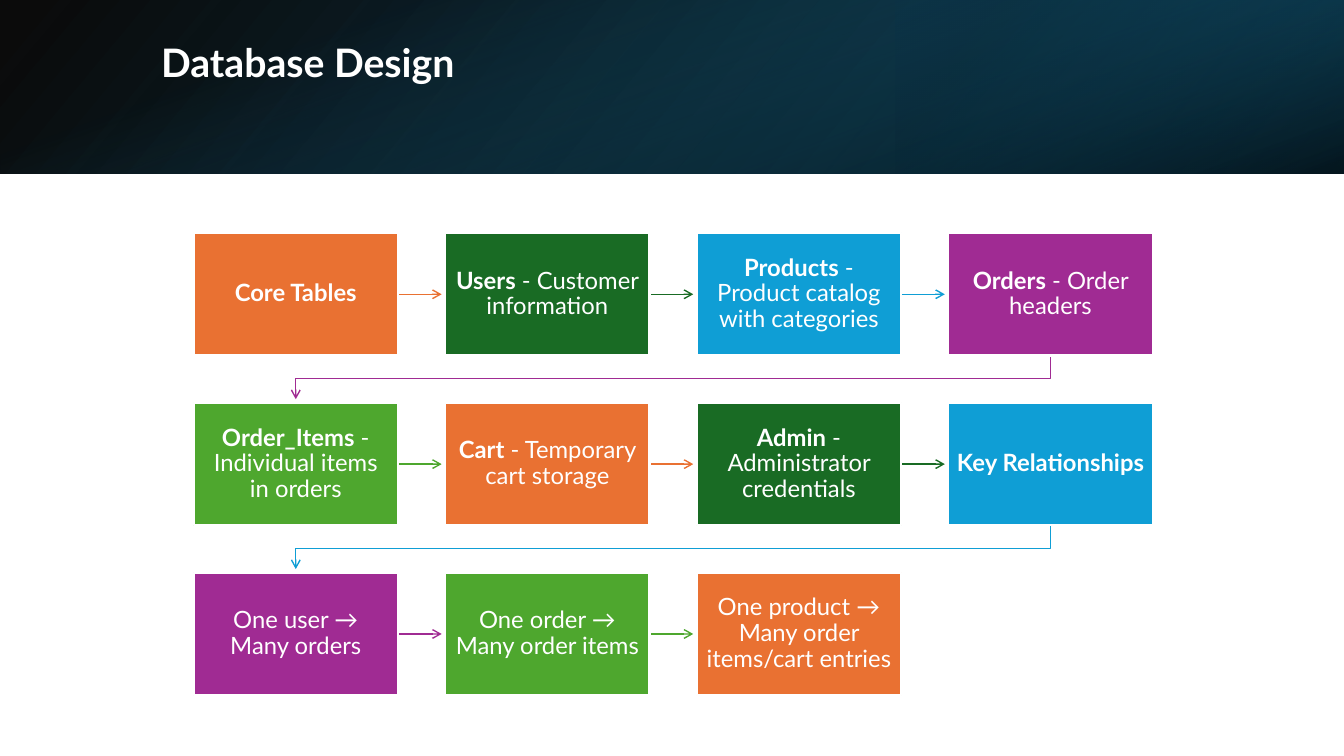
from dataclasses import dataclass

from lxml import etree
from pptx import Presentation
from pptx import util as u
from pptx.dml import color
from pptx.enum import shapes, text
from pptx.oxml.ns import qn

FONT = "Lato"
WHITE = "FFFFFF"
STEP_COLOURS = ["E97132", "196B24", "0F9ED5", "A02B93", "4EA72E"]
COLUMNS = 4
LEFT, TOP = 4.88, 5.87
WIDTH, HEIGHT = 5.15, 3.09
PITCH_X, PITCH_Y = 6.34, 4.28
ARROW_LENGTH = 1.1
BEND_DROP = 0.58
SLIDE_WIDTH, BAND_HEIGHT = 33.87, 4.38


@dataclass
class Stop:
    position: float
    colour: str
    opacity: int


@dataclass
class Layer:
    left: float
    top: float
    width: float
    height: float
    rotation: int
    flipped: bool
    angle: int
    stops: tuple[Stop, Stop]


@dataclass
class Step:
    bold: str
    plain: str


BAND_OFFSET = (SLIDE_WIDTH - BAND_HEIGHT) / 2
BAND_LAYERS = [
    Layer(0, 0, SLIDE_WIDTH, BAND_HEIGHT, 0, True, 140,
          (Stop(0, "000000", 96), Stop(1, "104862", 100))),
    Layer(22.58, 0, 11.29, BAND_HEIGHT, 180, True, 320,
          (Stop(0.19, "0B3041", 68), Stop(1, "156082", 79))),
    Layer(BAND_OFFSET, -BAND_OFFSET, BAND_HEIGHT, SLIDE_WIDTH, 90, False, 340,
          (Stop(0.23, "156082", 0), Stop(0.99, "000000", 74))),
]

STEPS = [
    Step("Core Tables", ""),
    Step("Users", " - Customer information"),
    Step("Products", " - Product catalog with categories"),
    Step("Orders", " - Order headers"),
    Step("Order_Items", " - Individual items in orders"),
    Step("Cart", " - Temporary cart storage"),
    Step("Admin", " - Administrator credentials"),
    Step("Key Relationships", ""),
    Step("", "One user → Many orders"),
    Step("", "One order → Many order items"),
    Step("", "One product → Many order items/cart entries"),
]


def rgb(value: str) -> color.RGBColor:
    return color.RGBColor.from_string(value)


def add_rectangle(page, left: float, top: float, width: float, height: float):
    box = page.shapes.add_shape(shapes.MSO_SHAPE.RECTANGLE,
                                u.Cm(left), u.Cm(top), u.Cm(width), u.Cm(height))
    box.shadow.inherit = False
    return box


def add_layer(page, layer: Layer) -> None:
    """Draw one translucent gradient of the header band."""
    box = add_rectangle(page, layer.left, layer.top, layer.width, layer.height)
    box.rotation = layer.rotation
    properties = box._element.spPr
    if layer.flipped:
        properties.find(qn("a:xfrm")).set("flipH", "1")
    box.line.fill.background()
    box.fill.gradient()
    box.fill.gradient_angle = 360 - layer.angle
    for target, stop in zip(box.fill.gradient_stops, layer.stops):
        target.position = stop.position
        target.color.rgb = rgb(stop.colour)
    for element, stop in zip(properties.iter(qn("a:srgbClr")), layer.stops):
        etree.SubElement(element, qn("a:alpha")).set("val", str(stop.opacity * 1000))


def add_span(para, words: str, size: float, bold: bool) -> None:
    span = para.add_run()
    span.text = words
    span.font.name = FONT
    span.font.size = u.Pt(size)
    span.font.bold = bold
    span.font.color.rgb = rgb(WHITE)


def add_title(page, words: str) -> None:
    box = page.shapes.add_textbox(u.Cm(3.81), u.Cm(0.97), u.Cm(27.89), u.Cm(2.44))
    frame = box.text_frame
    frame.word_wrap = True
    frame.vertical_anchor = text.MSO_ANCHOR.TOP
    para = frame.paragraphs[0]
    para.line_spacing = 0.9
    add_span(para, words, 28, True)


def add_step(page, step: Step, left: float, top: float, colour: str) -> None:
    box = add_rectangle(page, left, top, WIDTH, HEIGHT)
    box.fill.solid()
    box.fill.fore_color.rgb = rgb(colour)
    box.line.color.rgb = rgb(WHITE)
    box.line.width = u.Pt(1.5)
    frame = box.text_frame
    frame.word_wrap = True
    frame.vertical_anchor = text.MSO_ANCHOR.MIDDLE
    frame.margin_left = frame.margin_right = u.Cm(0.2)
    frame.margin_top = frame.margin_bottom = u.Cm(0.25)
    para = frame.paragraphs[0]
    para.alignment = text.PP_ALIGN.CENTER
    para.line_spacing = 0.9
    for words, bold in ((step.bold, True), (step.plain, False)):
        if words:
            add_span(para, words, 17, bold)


def style_arrow(arrow, colour: str) -> None:
    arrow.line.color.rgb = rgb(colour)
    arrow.line.width = u.Pt(1)
    etree.SubElement(arrow.line._get_or_add_ln(), qn("a:tailEnd")).set("type", "arrow")
    properties = arrow._element.spPr
    if properties.find(qn("a:effectLst")) is None:
        etree.SubElement(properties, qn("a:effectLst"))


def add_arrow_right(page, left: float, top: float, colour: str) -> None:
    start, middle = left + WIDTH, top + HEIGHT / 2
    arrow = page.shapes.add_connector(
        shapes.MSO_CONNECTOR.STRAIGHT, u.Cm(start), u.Cm(middle),
        u.Cm(start + ARROW_LENGTH), u.Cm(middle))
    style_arrow(arrow, colour)


def add_arrow_to_next_row(page, left: float, top: float, colour: str) -> None:
    start, end, bottom = left + WIDTH / 2, LEFT + WIDTH / 2, top + HEIGHT
    bend = bottom + BEND_DROP
    corners = [(start, bend), (end, bend), (end, bottom + ARROW_LENGTH)]
    builder = page.shapes.build_freeform(u.Cm(start), u.Cm(bottom))
    builder.add_line_segments([(u.Cm(x), u.Cm(y)) for x, y in corners], close=False)
    arrow = builder.convert_to_shape()
    arrow.shadow.inherit = False
    arrow.fill.background()
    style_arrow(arrow, colour)


def main() -> None:
    deck = Presentation()
    deck.slide_width, deck.slide_height = u.Cm(SLIDE_WIDTH), u.Cm(19.05)
    page = deck.slides.add_slide(deck.slide_layouts[6])
    for layer in BAND_LAYERS:
        add_layer(page, layer)
    add_title(page, "Database Design")
    for index, step in enumerate(STEPS):
        row, column = divmod(index, COLUMNS)
        left, top = LEFT + column * PITCH_X, TOP + row * PITCH_Y
        colour = STEP_COLOURS[index % len(STEP_COLOURS)]
        if index < len(STEPS) - 1:
            last_in_row = column == COLUMNS - 1
            add_arrow = add_arrow_to_next_row if last_in_row else add_arrow_right
            add_arrow(page, left, top, colour)
        add_step(page, step, left, top, colour)
    deck.save("out.pptx")


if __name__ == "__main__":
    main()
